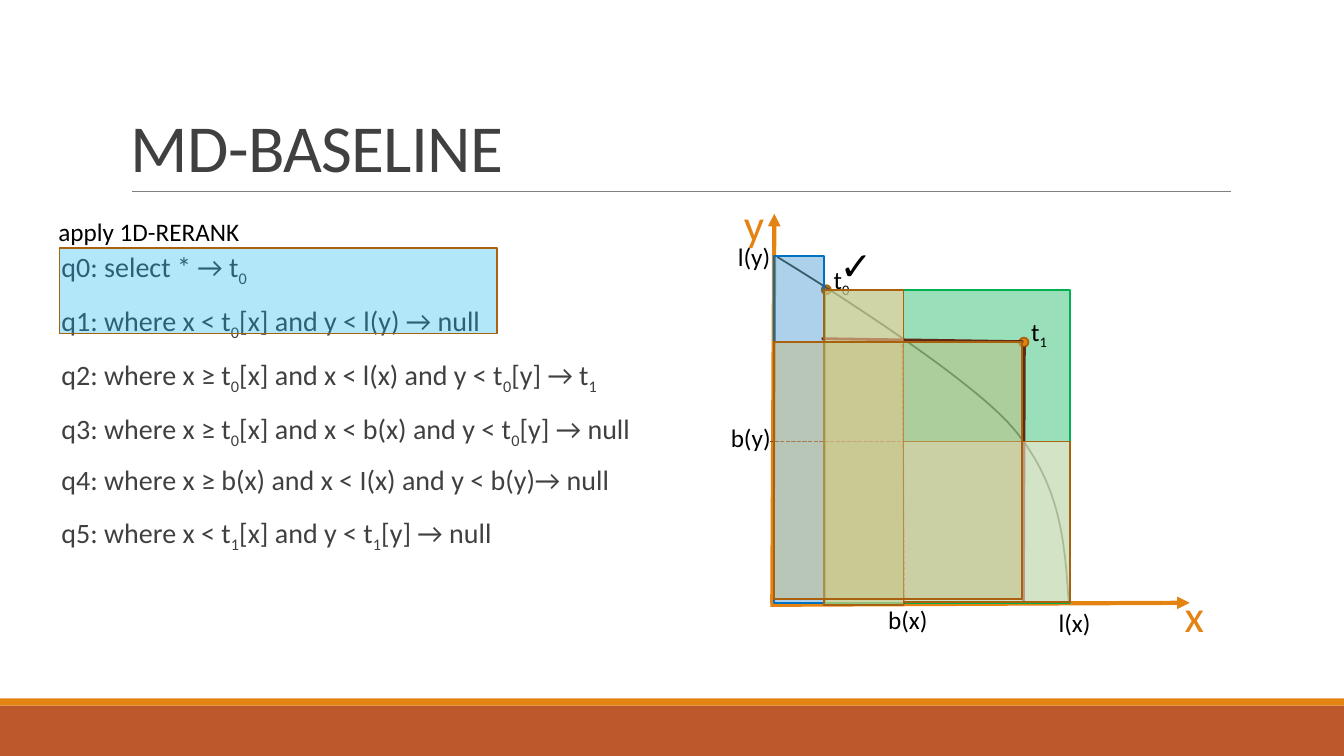
import pptx
import pptx.util
import pptx.dml.color
import pptx.enum.shapes
import pptx.enum.text
import pptx.oxml
import pptx.oxml.ns

Inches = pptx.util.Inches
SHAPES = pptx.enum.shapes.MSO_SHAPE
COLORS = {
    "text": "404040", "black": "000000", "rule": "808080", "orange": "E48312",
    "rust": "BD582C", "outline": "A9610D", "curve": "4A543E", "edge": "5E2C16",
    "dash": "8E4221", "blue": "0070C0", "green": "00B050", "sky": "00B0F0",
    "peach": "F7CE9D", "cream": "FBE6CE", "olive": "C2BC80",
}
QUERIES = [
    "q0: select * → t_0",
    "q1: where x < t_0[x] and y < l(y) → null",
    "q2: where x ≥ t_0[x] and x < l(x) and y < t_0[y] → t_1",
    "q3: where x ≥ t_0[x] and x < b(x) and y < t_0[y] → null",
    "q4: where x ≥ b(x) and x < I(x) and y < b(y)→ null",
    "q5: where x < t_1[x] and y < t_1[y] → null",
]


def rgb(name):
    return pptx.dml.color.RGBColor.from_string(COLORS[name])


def add_element(parent, tag, **attributes):
    element = pptx.oxml.parse_xml(f"<a:{tag} {pptx.oxml.ns.nsdecls('a')}/>")
    for key, value in attributes.items():
        element.set(key, value)
    parent.append(element)


def add_block(page, box, fill, line=None, alpha=100, kind=SHAPES.RECTANGLE):
    """Add a preset shape; alpha is the fill's opacity in percent."""
    block = page.shapes.add_shape(kind, *map(Inches, box))
    block.shadow.inherit = False
    block.fill.solid()
    block.fill.fore_color.rgb = rgb(fill)
    if alpha < 100:
        color = block.fill._xPr.find(".//" + pptx.oxml.ns.qn("a:srgbClr"))
        add_element(color, "alpha", val=str(alpha * 1000))
    if line:
        block.line.color.rgb = rgb(line)
        block.line.width = pptx.util.Pt(1.25)
    else:
        block.line.fill.background()


def add_line(page, start, end, color, width, arrow=False, dashed=False):
    line = page.shapes.add_connector(
        pptx.enum.shapes.MSO_CONNECTOR.STRAIGHT, *map(Inches, (*start, *end)))
    line.line.color.rgb = rgb(color)
    line.line.width = pptx.util.Pt(width)
    properties = line._element.spPr
    if dashed:
        add_element(line.line._get_or_add_ln(), "prstDash", val="sysDash")
    if arrow:
        add_element(line.line._get_or_add_ln(), "tailEnd", type="triangle")
    add_element(properties, "effectLst")


def write(para, text, size, color):
    """Fill a paragraph; the character after each underscore is a subscript."""
    pieces = text.split("_")
    parts = [(pieces[0], False)]
    for piece in pieces[1:]:
        parts += [(piece[0], True), (piece[1:], False)]
    for part, lowered in parts:
        if not part:
            continue
        span = para.add_run()
        span.text = part
        span.font.name = "Calibri"
        span.font.size = pptx.util.Pt(size)
        span.font.color.rgb = rgb(color)
        if lowered:
            span.font._element.set("baseline", "-25000")


def add_label(page, box, text, size=18, color="black"):
    label = page.shapes.add_textbox(*map(Inches, box))
    label.text_frame.word_wrap = False
    write(label.text_frame.paragraphs[0], text, size, color)


def add_title(page, box):
    left, top, width, height = box
    title = page.shapes.add_textbox(*map(Inches, box)).text_frame
    title.word_wrap = True
    title.vertical_anchor = pptx.enum.text.MSO_ANCHOR.BOTTOM
    para = title.paragraphs[0]
    para.line_spacing = 0.85
    write(para, "MD-BASELINE", 48, "text")
    para.runs[0].font._element.set("spc", "-50")
    rule = top + height
    add_line(page, (left + 0.11, rule), (left + width + 0.01, rule), "rule", 0.5)


def add_footer(page, box):
    left, top, width, height = box
    add_block(page, (left, top + 0.07, width, height - 0.07), "rust")
    add_block(page, (left, top, width, 0.07), "orange")


def add_queries(page, box):
    frame = page.shapes.add_textbox(*map(Inches, box)).text_frame
    frame.word_wrap = True
    frame.margin_left = frame.margin_right = 0
    for index, query in enumerate(QUERIES):
        para = frame.add_paragraph() if index else frame.paragraphs[0]
        para.line_spacing = 0.9
        para.space_before = pptx.util.Pt(12)
        para.space_after = pptx.util.Pt(2)
        write(para, query, 20, "text")


def add_rerank_note(page, box):
    left, top, width, height = box
    add_block(page, box, "sky", "outline", 30)
    add_label(page, (left - 0.11, top - 0.36, 2.02, 0.4), "apply 1D-RERANK")


def add_curve(page, start, bends):
    """Trace cubic Bezier bends, each given as two controls and an end."""
    points = [start]
    for controls in bends:
        corners = (points[-1], *controls)
        for step in range(1, 31):
            t = step / 30
            weights = ((1 - t) ** 3, 3 * t * (1 - t) ** 2, 3 * t * t * (1 - t), t ** 3)
            points.append(tuple(sum(w * corner[axis] for w, corner in zip(weights, corners))
                                for axis in (0, 1)))
    points = [(Inches(x), Inches(y)) for x, y in points]
    builder = page.shapes.build_freeform(*points[0])
    builder.add_line_segments(points[1:], close=False)
    curve = builder.convert_to_shape()
    curve.shadow.inherit = False
    curve.fill.background()
    curve.line.color.rgb = rgb("curve")
    curve.line.width = pptx.util.Pt(1.25)


def add_plot(page, box):
    """Draw the plot in a box whose lower left corner is the origin."""
    left, top, width, height = box
    base = top + height
    l_x, l_y, b_x, b_y = 2.92, 3.44, 1.28, 1.6
    t0_x, t0_y, t1_x, t1_y = 0.49, 3.1, 2.47, 2.59

    def at(x, y):
        return left + x, base - y

    def region(x, y, wide, high, fill, line, alpha):
        add_block(page, (*at(x, y), wide, high), fill, line, alpha)

    def tuple_point(x, y, name):
        add_block(page, (*at(x - 0.04, y + 0.04), 0.09, 0.09), "orange", "outline",
                  kind=SHAPES.OVAL)
        add_label(page, (*at(x - 0.02, y + 0.3), 0.37, 0.4), name)

    add_line(page, at(-0.02, 0), (left, top), "orange", 3, arrow=True)
    add_line(page, at(-0.04, -0.02), at(width, 0), "orange", 3, arrow=True)
    add_label(page, (*at(width - 0.15, 0.2), 0.4, 0.64), "x", 32, "orange")
    add_label(page, (*at(-0.4, height + 0.22), 0.41, 0.64), "y", 32, "orange")
    tuple_point(t0_x + 0.02, t0_y + 0.01, "t_0")
    add_curve(page, at(l_x, 0), [
        (at(2.88, 0.58), at(2.85, 1.16), at(2.37, 1.73)),
        (at(1.88, 2.31), at(0.03, 3.43), at(0.03, 3.43)),
    ])
    region(0, l_y, t0_x, l_y, "blue", "blue", 32)
    add_label(page, (*at(-0.46, l_y + 0.2), 0.53, 0.4), "l(y)")
    add_label(page, (*at(l_x - 0.2, 0), 0.52, 0.4), "l(x)")
    region(t0_x + 0.01, t0_y, l_x - t0_x, t0_y, "green", "green", 40)
    tuple_point(t1_x, t1_y, "t_1")
    add_line(page, at(t1_x, t1_y), at(t0_x - 0.02, t1_y + 0.03), "edge", 2)
    add_line(page, at(t1_x + 0.01, t1_y - 0.05), at(t1_x, 0), "edge", 2)
    add_label(page, (*at(-0.53, b_y + 0.24), 0.6, 0.4), "b(y)")
    add_label(page, (*at(b_x - 0.25, 0.03), 0.6, 0.4), "b(x)")
    add_line(page, at(t1_x, b_y), at(-0.04, b_y), "dash", 1, dashed=True)
    add_line(page, at(b_x - 0.01, t1_y + 0.03), at(b_x + 0.01, -0.02), "dash", 1, dashed=True)
    region(t0_x, t0_y, b_x - t0_x, t0_y + 0.02, "peach", "outline", 59)
    region(b_x, b_y, l_x - b_x + 0.01, b_y - 0.01, "cream", "outline", 60)
    region(0, t1_y, t1_x - 0.01, t1_y - 0.04, "olive", "outline", 48)
    add_label(page, (*at(0.55, l_y + 0.2), 0.51, 0.57), "✓", 28)


def main():
    deck = pptx.Presentation()
    deck.slide_width, deck.slide_height = Inches(13.33), Inches(7.5)
    page = deck.slides.add_slide(deck.slide_layouts[6])
    add_footer(page, (0, 6.93, 13.33, 0.57))
    add_title(page, (1.2, 0.31, 11, 1.59))
    add_queries(page, (0.61, 2.43, 6.53, 3.95))
    add_plot(page, (7.68, 2.12, 4.12, 3.86))
    add_rerank_note(page, (0.59, 2.46, 4.34, 0.85))
    deck.save("out.pptx")


if __name__ == "__main__":
    main()
